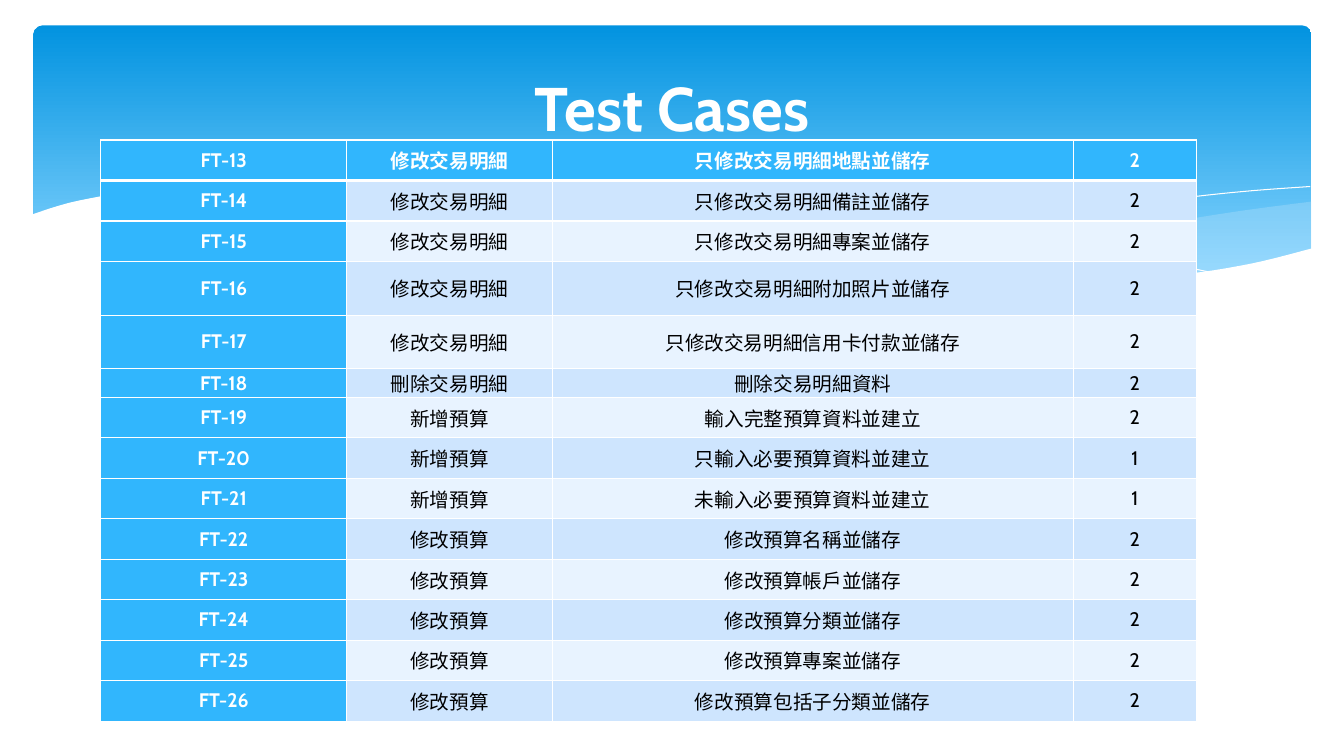
from lxml import etree
from pptx import Presentation
from pptx.dml.color import RGBColor
from pptx.enum.shapes import MSO_SHAPE
from pptx.enum.text import MSO_ANCHOR, PP_ALIGN
from pptx.oxml.ns import qn
from pptx.util import Cm, Pt

ROUND = MSO_SHAPE.ROUNDED_RECTANGLE
MIDDLE = MSO_ANCHOR.MIDDLE
CENTER = PP_ALIGN.CENTER

COLORS = {
    "white": "FFFFFF", "black": "000000", "deep": "0293E0", "sky": "83D3FE",
    "mist": "C6E7FC", "head": "31B6FD", "odd": "CEE5FE", "even": "E8F3FF",
}

RIGHT = [
    [(33.05, 5.08), (31.17, 5.33), (29.13, 5.66), (26.37, 6.15), (22.4, 6.73)],
    [(22.4, 6.73), (24.33, 6.91), (26.04, 7.04), (27.56, 7.06), (29.24, 6.99),
     (30.94, 6.78), (32.16, 6.53), (33.05, 6.27)],
]
LEFT = [
    [(30.23, 6.93), (27.33, 6.6), (23.9, 6.1), (21.31, 5.64), (18.8, 5.21),
     (15.72, 4.85), (12.85, 4.7), (9.7, 4.85)],
    [(9.7, 4.85), (12.27, 5.16), (15.21, 5.64), (19.18, 6.3), (22.53, 6.76),
     (24.92, 6.99), (27.33, 7.06), (29.03, 7.04), (30.23, 6.93)],
]
FALL = [[(10.46, 4.95), (12.29, 4.8), (14.1, 4.75), (16.56, 4.83),
         (19.69, 5.08), (23.55, 5.56), (26.92, 6.12), (30.73, 6.91)]]
RISE = [[(20.78, 6.53), (23.55, 5.97), (26.29, 5.49), (29.34, 5.05),
         (31.29, 4.83), (33.02, 4.7)]]
FRONT = [
    [(33.1, 6.25), (31.5, 6.65), (29.64, 6.93), (27.38, 7.04), (24.61, 6.91),
     (21.18, 6.55), (17.93, 6.07), (15.14, 5.59), (12.34, 5.13), (9.17, 4.78),
     (6.55, 4.67), (4.01, 4.75), (2.01, 5.05), (0.79, 5.41)],
    [(0.79, 8.36), (33.1, 8.36)],
]

FIRST = 13
CASES = [
    ("修改交易明細", "只修改交易明細地點並儲存", 2),
    ("修改交易明細", "只修改交易明細備註並儲存", 2),
    ("修改交易明細", "只修改交易明細專案並儲存", 2),
    ("修改交易明細", "只修改交易明細附加照片並儲存", 2),
    ("修改交易明細", "只修改交易明細信用卡付款並儲存", 2),
    ("刪除交易明細", "刪除交易明細資料", 2),
    ("新增預算", "輸入完整預算資料並建立", 2),
    ("新增預算", "只輸入必要預算資料並建立", 1),
    ("新增預算", "未輸入必要預算資料並建立", 1),
    ("修改預算", "修改預算名稱並儲存", 2),
    ("修改預算", "修改預算帳戶並儲存", 2),
    ("修改預算", "修改預算分類並儲存", 2),
    ("修改預算", "修改預算專案並儲存", 2),
    ("修改預算", "修改預算包括子分類並儲存", 2),
]
WIDTHS = [6.2, 5.18, 13.13, 3.1]
HEIGHT = 1.02
HEIGHTS = {3: 1.35, 4: 1.35, 5: 0.69}


def color(name):
    """Return the named colour."""
    return RGBColor.from_string(COLORS[name])


def write(frame, text, size=14, ink="black", bold=False, font="Cabin"):
    """Put one centred, formatted run in a text frame."""
    para = frame.paragraphs[0]
    para.alignment = CENTER
    run = para.add_run()
    run.text = text
    run.font.name = font
    run.font.size = Pt(size)
    run.font.bold = bold
    run.font.color.rgb = color(ink)


def smooth(knots, steps=6):
    """Return points on a soft curve through the knots."""
    if len(knots) < 3:
        return knots
    ends = [knots[0], *knots, knots[-1]]
    points = []
    for a, b, c, d in zip(ends, ends[1:], ends[2:], ends[3:]):
        for step in range(steps):
            t = step / steps
            points.append(tuple(
                q + t * (r - p) / 2 + t**2 * (p - 2.5 * q + 2 * r - s / 2)
                + t**3 * (1.5 * (q - r) + (s - p) / 2)
                for p, q, r, s in zip(a, b, c, d)))
    return points + [knots[-1]]


class Deck:
    """Hold the style and the current slide."""

    def __init__(self):
        """Start a wide file with one title slide."""
        self.file = Presentation()
        self.file.slide_width = Cm(33.87)
        self.file.slide_height = Cm(19.05)
        self.slide = self.file.slides.add_slide(self.file.slide_layouts[5])
        self.shapes = self.slide.shapes

    def banner(self, x, y, wide, high):
        """Draw the shaded band at the top."""
        band = self.shapes.add_shape(ROUND, Cm(x), Cm(y), Cm(wide), Cm(high))
        band.shadow.inherit = False
        band.adjustments[0] = 0.034
        band.line.fill.background()
        band.fill.gradient()
        band.fill.gradient_angle = 270
        for stop, name, place in zip(band.fill.gradient_stops,
                                     ("deep", "sky"), (0, 0.9)):
            stop.color.rgb = color(name)
            stop.position = place

    def wave(self, parts, fill=None, alpha=100):
        """Draw a filled wave, or a white hairline when no fill is given."""
        points = [(Cm(x), Cm(y)) for part in parts for x, y in smooth(part)]
        pen = self.shapes.build_freeform(*points[0])
        pen.add_line_segments(points[1:], close=bool(fill))
        shape = pen.convert_to_shape()
        shape.shadow.inherit = False
        if not fill:
            shape.fill.background()
            shape.line.color.rgb = color("white")
            shape.line.width = Pt(0)
            return
        shape.line.fill.background()
        shape.fill.solid()
        shape.fill.fore_color.rgb = color(fill)
        if alpha < 100:
            tint = shape.element.spPr.find(".//" + qn("a:srgbClr"))
            etree.SubElement(tint, qn("a:alpha"), val=str(alpha * 1000))

    def border(self, cell, low):
        """Give a cell white edges, with its own width below."""
        props = cell._tc.get_or_add_tcPr()
        for side, width in (("L", 1), ("R", 1), ("T", 1), ("B", low)):
            edge = etree.SubElement(props, qn("a:ln" + side),
                                    w=str(Pt(width)))
            paint = etree.SubElement(edge, qn("a:solidFill"))
            etree.SubElement(paint, qn("a:srgbClr"), val=COLORS["white"])

    def cell(self, cell, text, fill, strong, low):
        """Fill and format one table cell."""
        self.border(cell, low)
        cell.fill.solid()
        cell.fill.fore_color.rgb = color(fill)
        cell.vertical_anchor = MIDDLE
        cell.margin_left = cell.margin_right = Cm(0.03)
        cell.margin_top = cell.margin_bottom = 0
        write(cell.text_frame, text, bold=strong,
              ink="white" if strong else "black")

    def table(self, x, y):
        """Build the table of test cases."""
        highs = [HEIGHTS.get(i, HEIGHT) for i in range(len(CASES))]
        grid = self.shapes.add_table(
            len(CASES), len(WIDTHS), Cm(x), Cm(y),
            Cm(sum(WIDTHS)), Cm(sum(highs))).table
        for col, wide in zip(grid.columns, WIDTHS):
            col.width = Cm(wide)
        for i, case in enumerate(CASES):
            grid.rows[i].height = Cm(highs[i])
            for j, text in enumerate((f"FT-{FIRST + i}", *case)):
                strong = i == 0 or j == 0
                fill = "head" if strong else "odd" if i % 2 else "even"
                self.cell(grid.cell(i, j), str(text), fill, strong,
                          1 if i else 3)

    def title(self, text, x, y, wide, high):
        """Place the title in front and format it."""
        title = self.shapes.title
        title.left, title.top = Cm(x), Cm(y)
        title.width, title.height = Cm(wide), Cm(high)
        title.text_frame.vertical_anchor = MIDDLE
        write(title.text_frame, text, size=44, ink="white", bold=True)
        title.element.getparent().append(title.element)


def main():
    """Build the slide and save it."""
    deck = Deck()
    deck.banner(0.84, 0.64, 32.21, 6.86)
    deck.wave(RIGHT, "mist", 29)
    deck.wave(LEFT, "mist", 40)
    deck.wave(FALL)
    deck.wave(RISE)
    deck.wave(FRONT, "white")
    deck.table(2.54, 3.53)
    deck.title("Test Cases", 1.7, 0.94, 30.48, 3.48)
    deck.file.save("out.pptx")


if __name__ == "__main__":
    main()
